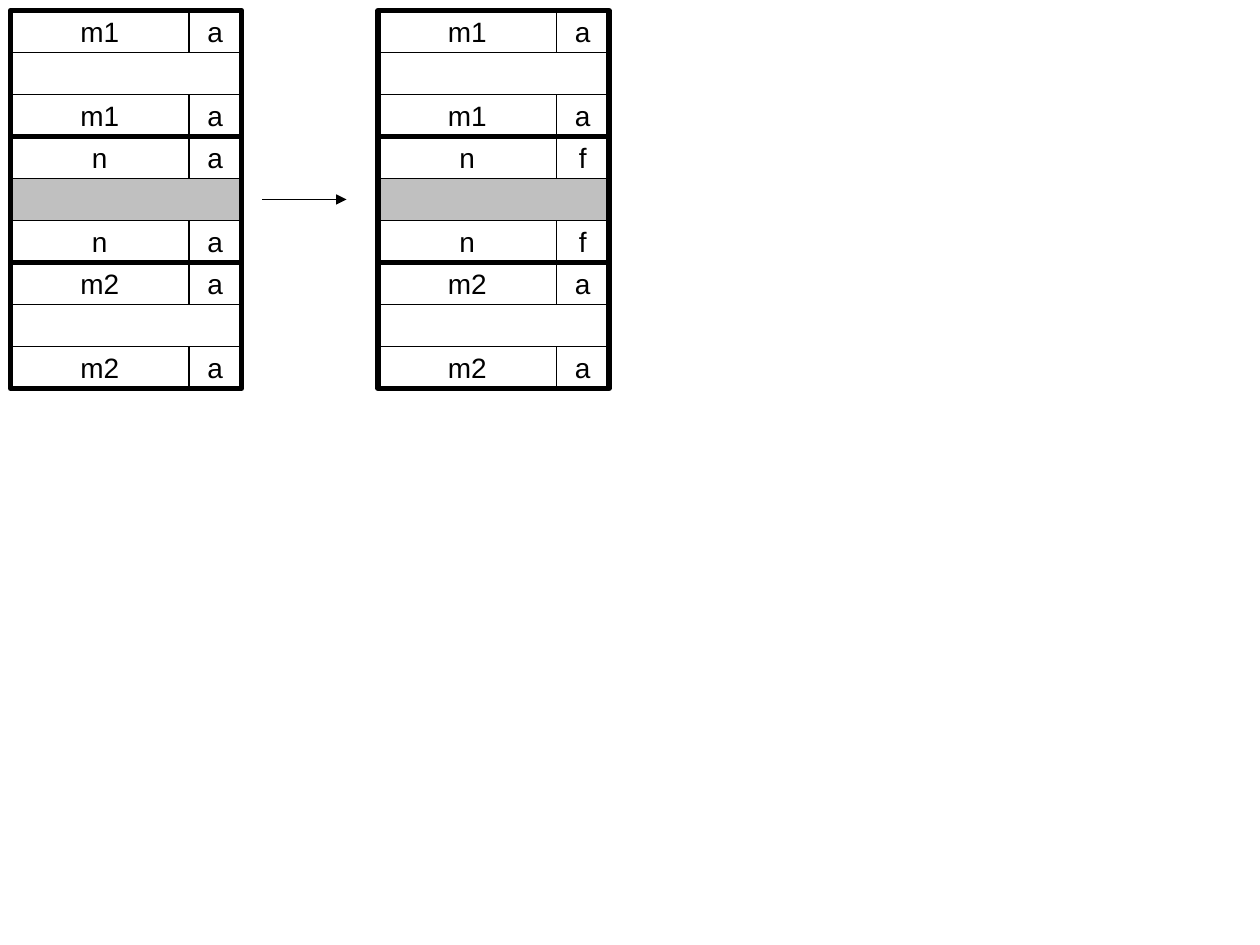
from lxml import etree
from pptx import Presentation
from pptx import util as u
from pptx.dml.color import RGBColor
from pptx.enum import shapes, text
from pptx.oxml.ns import qn

TOP = 1 / 12
ROW = 1 / 3
SIZE = 17 / 12
FLAG = 5 / 12
BLACK, WHITE, GRAY = "000000", "FFFFFF", "C0C0C0"


def paint(item, color):
    """Set a fill or line to a solid colour, given its format object."""
    item.solid()
    item.fore_color.rgb = RGBColor.from_string(color)


def box(slide, x, y, w, h, fill=None, width=1):
    """Add a black-edged rectangle, hollow when no fill is given."""
    shape = slide.shapes.add_shape(
        shapes.MSO_SHAPE.RECTANGLE,
        u.Inches(x), u.Inches(y), u.Inches(w), u.Inches(h))
    shape.shadow.inherit = False
    if fill:
        paint(shape.fill, fill)
    else:
        shape.fill.background()
    paint(shape.line.fill, BLACK)
    shape.line.width = u.Pt(width)
    return shape


def label(shape, words):
    """Write one centred run in a shape."""
    frame = shape.text_frame
    frame.word_wrap = False
    frame.vertical_anchor = text.MSO_ANCHOR.MIDDLE
    para = frame.paragraphs[0]
    para.alignment = text.PP_ALIGN.CENTER
    run = para.add_run()
    run.text = words
    run.font.name = "Arial"
    run.font.size = u.Pt(16)
    paint(run.font.fill, BLACK)


def tag(slide, x, y, size, flag):
    """Add a boundary row with the block size and its flag."""
    label(box(slide, x, y, SIZE, ROW, WHITE), size)
    label(box(slide, x + SIZE, y, FLAG, ROW, WHITE), flag)


def block(slide, x, y, size, flag, fill):
    """Add a memory block: header, body, footer and thick frame."""
    tag(slide, x, y, size, flag)
    box(slide, x, y + ROW, SIZE + FLAG, ROW, fill)
    tag(slide, x, y + 2 * ROW, size, flag)
    box(slide, x, y, SIZE + FLAG, 3 * ROW, width=3)


def heap(slide, x, flag):
    """Stack three blocks, the middle one carrying the given flag."""
    rows = [("m1", "a", WHITE), ("n", flag, GRAY), ("m2", "a", WHITE)]
    for i, (size, mark, fill) in enumerate(rows):
        block(slide, x, TOP + 3 * ROW * i, size, mark, fill)


def arrow(slide, x1, x2, y):
    """Add a horizontal arrow."""
    line = slide.shapes.add_connector(
        shapes.MSO_CONNECTOR.STRAIGHT,
        u.Inches(x1), u.Inches(y), u.Inches(x2), u.Inches(y))
    paint(line.line.fill, BLACK)
    line.line.width = u.Pt(1)
    edge = line.line._get_or_add_ln()
    etree.SubElement(edge, qn("a:tailEnd"), type="triangle")
    etree.SubElement(edge.getparent(), qn("a:effectLst"))


def main():
    """Build the slide showing a block being freed."""
    deck = Presentation()
    deck.slide_width, deck.slide_height = u.Inches(10), u.Inches(7.5)
    slide = deck.slides.add_slide(deck.slide_layouts[6])
    heap(slide, TOP, "a")
    heap(slide, 3, "f")
    arrow(slide, 2.08, 2.75, TOP + 4.5 * ROW)
    deck.save("out.pptx")


if __name__ == "__main__":
    main()
